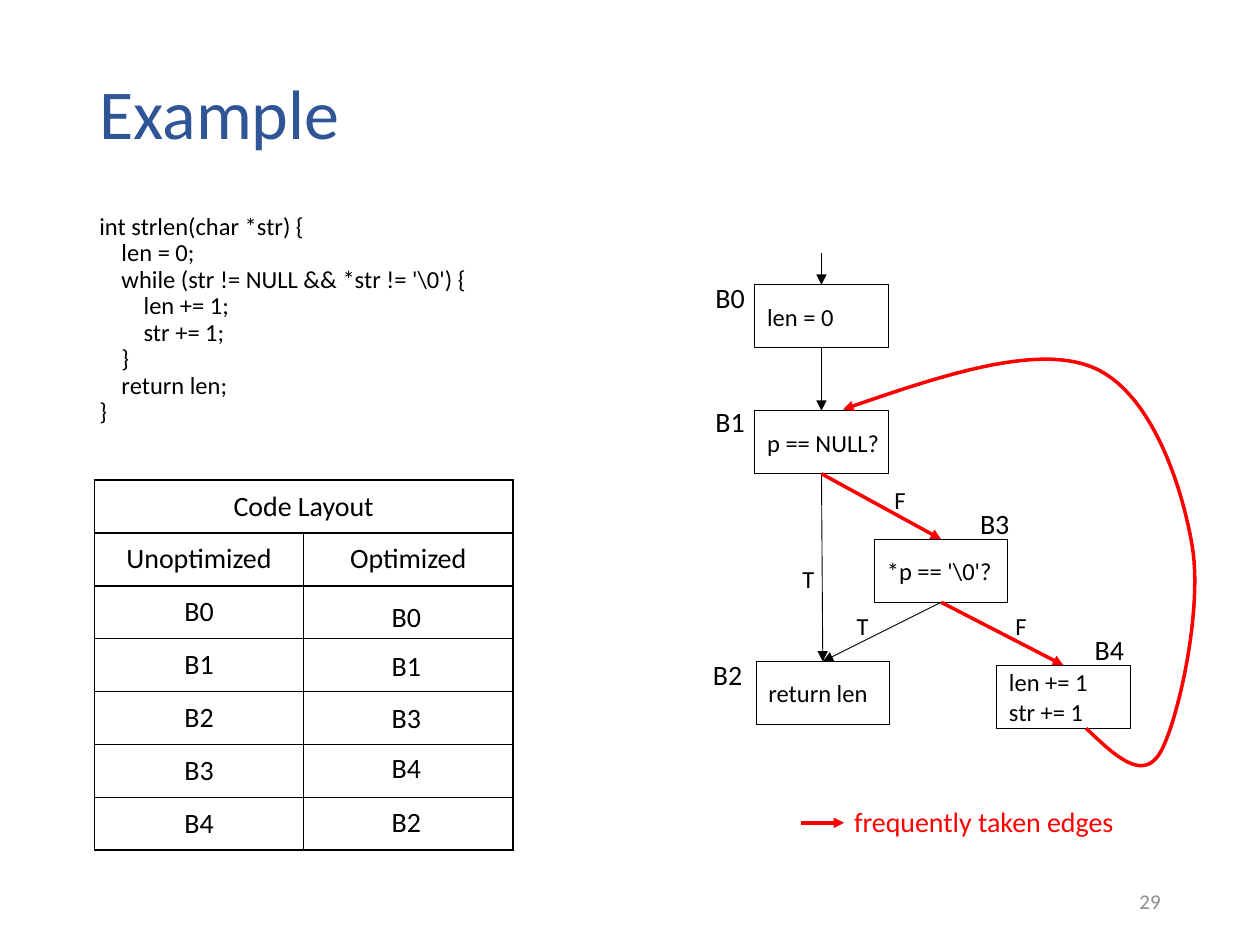
import functools
import typing

import lxml.etree
import pptx
import pptx.dml.color
import pptx.enum.shapes
import pptx.enum.text
import pptx.oxml.ns
import pptx.util

COLS, ROWS = 100, 75
UNIT = pptx.util.Inches(10) // COLS
BLACK, RED, TITLE, GREY = "000000", "FF0000", "2F5597", "8C8C8C"
THIN, THICK = 0.5, 2
BOX_W, BOX_H = 10.6, 5
TOP, BOTTOM = 0, 2
ANCHOR = pptx.enum.text.MSO_ANCHOR
ALIGN = pptx.enum.text.PP_ALIGN

CODE = r"""int strlen(char *str) {
    len = 0;
    while (str != NULL && *str != '\0') {
        len += 1;
        str += 1;
    }
    return len;
}"""


class Block(typing.NamedTuple):
    name: str
    code: str
    col: float
    row: float
    label_col: float
    label_row: float


class Edge(typing.NamedTuple):
    source: str
    target: str
    color: str = BLACK
    width: float = THIN


class Label(typing.NamedTuple):
    text: str
    col: float
    row: float
    width: float = 4.4
    height: float = 3.7
    size: float = 16
    color: str = BLACK


BLOCKS = [
    Block("B0", "len = 0", 59.9, 22.6, 55.8, 21.8),
    Block("B1", "p == NULL?", 59.9, 32.6, 55.8, 31.6),
    Block("B2", "return len", 60, 52.5, 55.6, 51.7),
    Block("B3", r"*p == '\0'?", 69.4, 42.8, 76.8, 39.7),
    Block("B4", "len += 1\nstr += 1", 79.1, 52.8, 85.9, 49.7),
]
EDGES = [
    Edge("B0", "B1"),
    Edge("B1", "B2"),
    Edge("B3", "B2"),
    Edge("B1", "B3", RED, THICK),
    Edge("B3", "B4", RED, THICK),
]
BRANCHES = [("T", 62.7, 44.3), ("F", 70, 38), ("T", 67, 48), ("F", 79.6, 48)]
UNOPTIMIZED = ["B0", "B1", "B2", "B3", "B4"]
OPTIMIZED = [("B0", 47.1), ("B1", 51), ("B3", 55.1), ("B4", 59.1), ("B2", 63.4)]
LOOP_START = (86.2, 57.8)
LOOP_CURVES = [
    ((88.5, 60), (90.7, 62.1), (92.1, 59.7)),
    ((93.5, 57.2), (95.5, 48.3), (94.6, 43.2)),
    ((93.7, 38.1), (91.2, 30.9), (86.6, 29.1)),
    ((82, 27.3), (74.4, 29.9), (66.9, 32.5)),
]


def grid(n: float) -> int:
    """Turn a count of grid columns or rows into a length."""
    return pptx.util.Emu(round(n * UNIT))


def rgb(color: str) -> pptx.dml.color.RGBColor:
    """Turn a hex string into a colour."""
    return pptx.dml.color.RGBColor.from_string(color)


def write(tf, text: str, size: float, color: str, align=ALIGN.LEFT, spacing: float = 1) -> None:
    """Fill a text frame with one paragraph for each line."""
    for i, line in enumerate(text.split("\n")):
        p = tf.add_paragraph() if i else tf.paragraphs[0]
        p.text = line
        p.alignment, p.line_spacing = align, spacing
        p.font.name, p.font.size = "Calibri", pptx.util.Pt(size)
        p.font.color.rgb = rgb(color)


def add_text(s, at: tuple, text: str, size: float, color: str, anchor=ANCHOR.TOP, **style) -> None:
    """Add a wrapping text box."""
    tf = s.shapes.add_textbox(*map(grid, at)).text_frame
    tf.word_wrap, tf.vertical_anchor = True, anchor
    write(tf, text, size, color, **style)


def add_label(s, label: Label) -> None:
    """Add a label that fits its text."""
    at = label.col, label.row, label.width, label.height
    tf = s.shapes.add_textbox(*map(grid, at)).text_frame
    tf.word_wrap = False
    tf.auto_size = pptx.enum.text.MSO_AUTO_SIZE.SHAPE_TO_FIT_TEXT
    write(tf, label.text, label.size, label.color)


def add_block(s, block: Block):
    """Add a basic block with its name beside it."""
    at = block.col, block.row, BOX_W, BOX_H
    sp = s.shapes.add_shape(pptx.enum.shapes.MSO_SHAPE.RECTANGLE, *map(grid, at))
    sp.shadow.inherit = False
    sp.fill.background()
    sp.line.color.rgb, sp.line.width = rgb(BLACK), pptx.util.Pt(THIN)
    tf = sp.text_frame
    tf.vertical_anchor = ANCHOR.MIDDLE
    tf.margin_right = 0
    write(tf, block.code, 14, BLACK)
    add_label(s, Label(block.name, block.label_col, block.label_row))
    return sp


def style_arrow(sp, color: str, width: float) -> None:
    """Colour a line, give it an arrowhead and drop its shadow."""
    sp.line.color.rgb, sp.line.width = rgb(color), pptx.util.Pt(width)
    qn = pptx.oxml.ns.qn
    spPr = sp.element.spPr
    lxml.etree.SubElement(spPr.find(qn("a:ln")), qn("a:tailEnd"), type="triangle")
    lxml.etree.SubElement(spPr, qn("a:effectLst"))


def add_arrow(s, start: tuple, end: tuple, color: str, width: float, source=None, target=None) -> None:
    """Add a straight arrow, joined to the blocks at its ends."""
    kind = pptx.enum.shapes.MSO_CONNECTOR.STRAIGHT
    sp = s.shapes.add_connector(kind, *map(grid, start + end))
    if source is not None:
        sp.begin_connect(source, BOTTOM)
    if target is not None:
        sp.end_connect(target, TOP)
    style_arrow(sp, color, width)


def add_loop(s, steps: int = 24) -> None:
    """Add the curved back edge of the loop."""
    points, a = [], LOOP_START
    for b, c, d in LOOP_CURVES:
        for t in (i / steps for i in range(1, steps + 1)):
            u = 1 - t
            weights = u**3, 3 * u * u * t, 3 * u * t * t, t**3
            points.append(tuple(
                grid(sum(w * q[axis] for w, q in zip(weights, (a, b, c, d))))
                for axis in (0, 1)))
        a = d
    builder = s.shapes.build_freeform(*map(grid, LOOP_START))
    builder.add_line_segments(points, close=False)
    sp = builder.convert_to_shape()
    sp.fill.background()
    style_arrow(sp, RED, THICK)


def add_borders(cell) -> None:
    """Draw a black line on every side of a cell."""
    qn = pptx.oxml.ns.qn
    tcPr = cell._tc.get_or_add_tcPr()
    for i, side in enumerate("LRTB"):
        ln = lxml.etree.Element(qn(f"a:ln{side}"), w=str(pptx.util.Pt(1)))
        fill = lxml.etree.SubElement(ln, qn("a:solidFill"))
        lxml.etree.SubElement(fill, qn("a:srgbClr"), val=BLACK)
        tcPr.insert(i, ln)


def add_layout_table(s) -> None:
    """Add the code layout table and its optimized order."""
    rows = [("Code Layout", ""), ("Unoptimized", "Optimized")]
    rows += [(name, "") for name in UNOPTIMIZED]
    at = 7.5, 38.1, 33.2, 4.2 * len(rows)
    table = s.shapes.add_table(len(rows), 2, *map(grid, at)).table
    table.cell(0, 0).merge(table.cell(0, 1))
    for i, row in enumerate(rows):
        for j, text in enumerate(row):
            cell = table.cell(i, j)
            cell.fill.background()
            cell.vertical_anchor = ANCHOR.MIDDLE
            write(cell.text_frame, text, 16, BLACK, ALIGN.CENTER)
            add_borders(cell)
    for name, row in OPTIMIZED:
        add_label(s, Label(name, 30.1, row))


def main() -> None:
    """Build the slide and save it."""
    prs = pptx.Presentation()
    prs.slide_width, prs.slide_height = grid(COLS), grid(ROWS)
    s = prs.slides.add_slide(prs.slide_layouts[6])
    add_text(s, (6.9, 4, 86.2, 10.5), "Example", 40, TITLE, ANCHOR.MIDDLE, spacing=0.9)
    add_text(s, (6.9, 16.5, 33.8, 19.2), CODE, 14, BLACK, spacing=0.9)
    add_layout_table(s)
    add_text(s, (70.6, 69.5, 22.5, 4), "29", 12, GREY, ANCHOR.MIDDLE, align=ALIGN.RIGHT)
    shapes = {block.name: add_block(s, block) for block in BLOCKS}
    arrow = functools.partial(add_arrow, s)
    arrow((65.2, 20.1), (65.2, 22.6), BLACK, THIN, target=shapes["B0"])
    for edge in EDGES:
        arrow((0, 0), (1, 1), edge.color, edge.width, shapes[edge.source], shapes[edge.target])
    for text, col, row in BRANCHES:
        add_label(s, Label(text, col, row, 3, 3.4, 14))
    add_loop(s)
    arrow((63.6, 65.3), (67, 65.3), RED, THICK)
    add_label(s, Label("frequently taken edges", 66.8, 63.4, 22.9, color=RED))
    prs.save("out.pptx")


if __name__ == "__main__":
    main()
